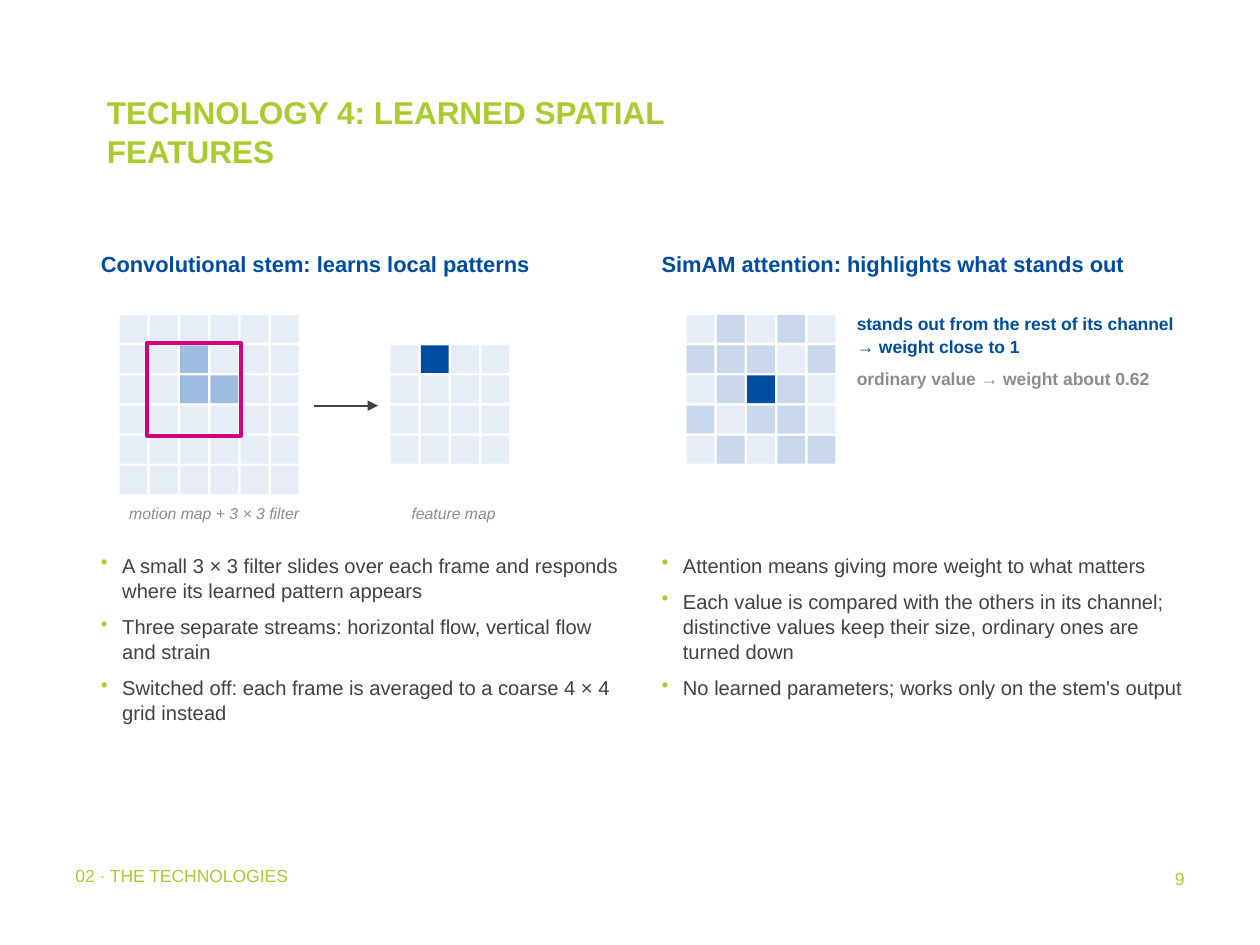
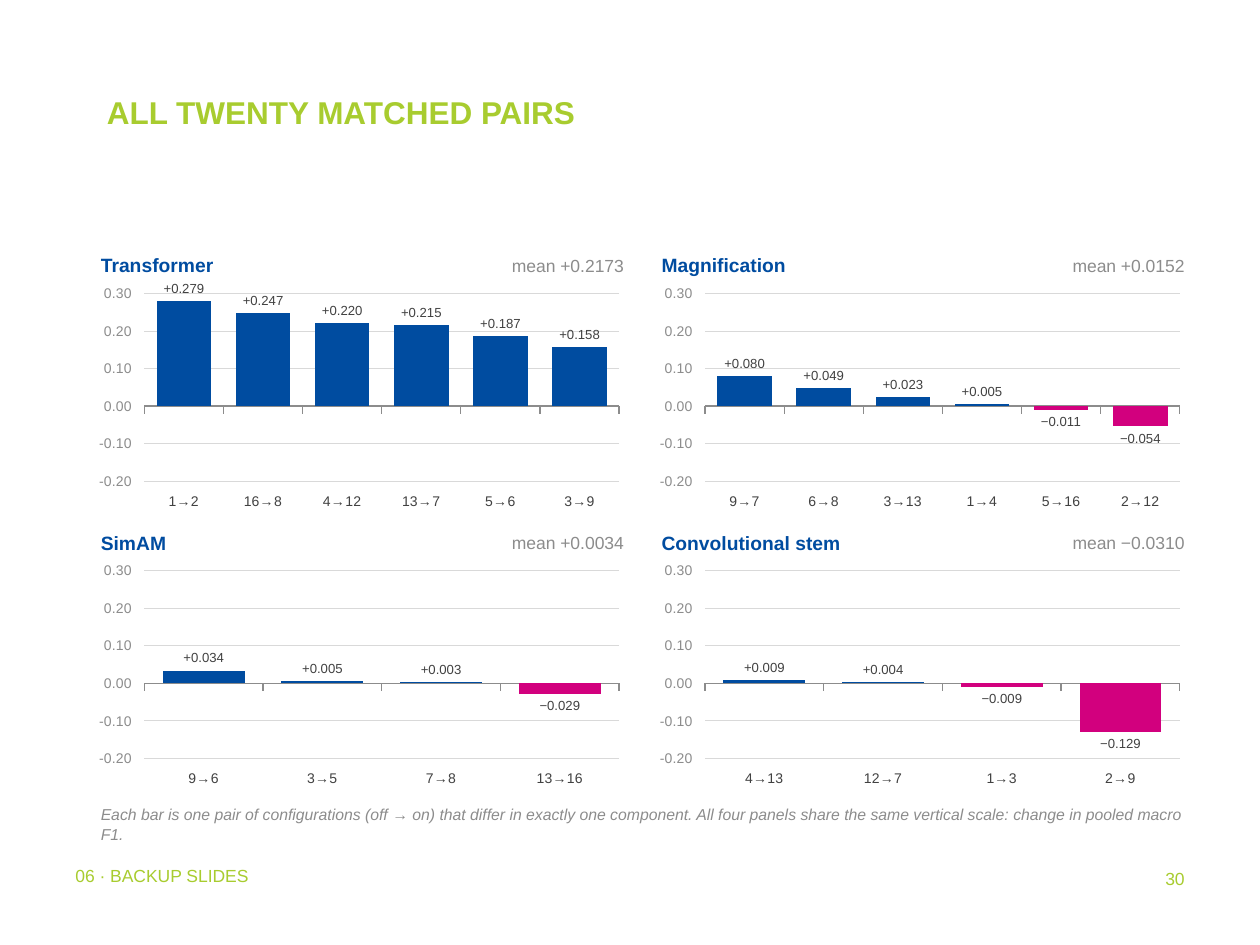
import dataclasses

import lxml.etree
import pptx
import pptx.chart.data
import pptx.dml.color
import pptx.enum.chart
import pptx.enum.shapes
import pptx.enum.text
import pptx.oxml.ns
import pptx.util

EMU_PER_PX = 9144
BLANK_LAYOUT = 6
CELL, CELL_STEP = 22, 24
COLUMN_LEFTS = (75, 520)
COLUMN_WIDTH = 425
PANEL_TOPS = (195, 415)

qn = pptx.oxml.ns.qn
LEFT, CENTER, RIGHT = (
    pptx.enum.text.PP_ALIGN.LEFT,
    pptx.enum.text.PP_ALIGN.CENTER,
    pptx.enum.text.PP_ALIGN.RIGHT,
)


@dataclasses.dataclass(frozen=True)
class Theme:
    font: str = "Arial"
    lime: str = "A8CC2F"
    blue: str = "004CA0"
    magenta: str = "D2007E"
    ink: str = "414141"
    gray: str = "8C8C8C"
    gridline: str = "D9D9D9"
    pale: str = "E6EDF6"
    light: str = "C9D7EC"
    medium: str = "9DBBE0"
    title: float = 18
    heading: float = 12.5
    body: float = 11.5
    panel: float = 11
    small: float = 10
    caption: float = 9
    axis: float = 8
    label: float = 7.5
    leading: float = 1.05


THEME = Theme()
CELL_FILLS = {
    ".": THEME.pale,
    "o": THEME.light,
    "x": THEME.medium,
    "#": THEME.blue,
}


def px(length):
    return pptx.util.Emu(length * EMU_PER_PX)


def rgb(color):
    return pptx.dml.color.RGBColor.from_string(color)


class Deck:
    def __init__(self, theme):
        self.theme = theme
        self.presentation = pptx.Presentation()
        self.presentation.slide_width = px(1000)
        self.presentation.slide_height = px(750)
        self.slide = None

    def new_slide(self, title, section, number):
        layout = self.presentation.slide_layouts[BLANK_LAYOUT]
        self.slide = self.presentation.slides.add_slide(layout)
        theme = self.theme
        self.text((75, 67, 542, 125), title, size=theme.title, color=theme.lime,
                  bold=True, inset=(10, 5), after=0)
        self.text((50, 683, 567, 40), section, size=theme.small, color=theme.lime,
                  inset=(10, 3), after=0)
        self.text((742, 683, 208, 50), number, size=theme.small, color=theme.lime,
                  inset=(10, 5), after=0, align=RIGHT)

    def style_font(self, font, size, color, bold=False, italic=False):
        font.name = self.theme.font
        font.size = pptx.util.Pt(size)
        font.bold = bold
        font.italic = italic
        font.color.rgb = rgb(color)

    def text(self, box, *lines, size, color, bold=False, italic=False, align=LEFT,
             inset=(5, 3), after=3, middle=False, bullet=False):
        frame = self.slide.shapes.add_textbox(*map(px, box)).text_frame
        frame.word_wrap = True
        frame.margin_left = frame.margin_right = px(inset[0])
        frame.margin_top = frame.margin_bottom = px(inset[1])
        if middle:
            frame.vertical_anchor = pptx.enum.text.MSO_ANCHOR.MIDDLE
        for index, line in enumerate(lines):
            content, line_color = line if isinstance(line, tuple) else (line, color)
            paragraph = frame.add_paragraph() if index else frame.paragraphs[0]
            if bullet:
                self.bullet(paragraph)
            paragraph.alignment = align
            paragraph.line_spacing = self.theme.leading
            paragraph.space_after = pptx.util.Pt(after)
            run = paragraph.add_run()
            run.text = content
            self.style_font(run.font, size, line_color, bold, italic)

    def bullet(self, paragraph):
        properties = paragraph._p.get_or_add_pPr()
        properties.set("marL", str(px(17)))
        properties.set("indent", str(px(-17)))
        bullet_color = lxml.etree.SubElement(properties, qn("a:buClr"))
        lxml.etree.SubElement(bullet_color, qn("a:srgbClr"), val=self.theme.lime)
        lxml.etree.SubElement(properties, qn("a:buChar"), char="•")

    def rectangle(self, box, fill=None, outline=None, weight=0):
        rectangle = self.slide.shapes.add_shape(
            pptx.enum.shapes.MSO_SHAPE.RECTANGLE, *map(px, box))
        rectangle.shadow.inherit = False
        if fill:
            rectangle.fill.solid()
            rectangle.fill.fore_color.rgb = rgb(fill)
        else:
            rectangle.fill.background()
        if outline:
            rectangle.line.color.rgb = rgb(outline)
            rectangle.line.width = pptx.util.Pt(weight)
        else:
            rectangle.line.fill.background()

    def cell_map(self, left, top, rows):
        for row, marks in enumerate(rows):
            for column, mark in enumerate(marks):
                self.rectangle((left + column * CELL_STEP, top + row * CELL_STEP,
                                CELL, CELL), fill=CELL_FILLS[mark])

    def arrow(self, *ends):
        arrow = self.slide.shapes.add_connector(
            pptx.enum.shapes.MSO_CONNECTOR.STRAIGHT, *map(px, ends))
        arrow.line.color.rgb = rgb(self.theme.ink)
        arrow.line.width = pptx.util.Pt(1.25)
        properties = arrow._element.spPr
        lxml.etree.SubElement(properties.find(qn("a:ln")), qn("a:tailEnd"),
                              type="triangle")
        lxml.etree.SubElement(properties, qn("a:effectLst"))

    def column_chart(self, box, differences):
        theme = self.theme
        data = pptx.chart.data.CategoryChartData()
        data.categories = list(differences)
        data.add_series("Series 1", list(differences.values()))
        chart = self.slide.shapes.add_chart(
            pptx.enum.chart.XL_CHART_TYPE.COLUMN_CLUSTERED, *map(px, box), data).chart
        chart.has_title = False
        chart.has_legend = False
        self.style_font(chart.font, theme.axis, theme.ink)

        pairs = chart.category_axis
        pairs.tick_label_position = pptx.enum.chart.XL_TICK_LABEL_POSITION.LOW
        pairs.format.line.color.rgb = rgb(theme.gray)
        pairs.format.line.width = pptx.util.Pt(0.75)
        self.style_font(pairs.tick_labels.font, theme.axis, theme.ink)

        change = chart.value_axis
        change.minimum_scale, change.maximum_scale = -0.2, 0.3
        change.major_unit = 0.1
        change.format.line.fill.background()
        change.major_gridlines.format.line.color.rgb = rgb(theme.gridline)
        change.major_gridlines.format.line.width = pptx.util.Pt(0.5)
        change.tick_labels.number_format = "0.00"
        change.tick_labels.number_format_is_linked = False
        self.style_font(change.tick_labels.font, theme.axis, theme.gray)

        plot = chart.plots[0]
        plot.gap_width = 45
        plot.vary_by_categories = False
        series = plot.series[0]
        series.invert_if_negative = False
        series.format.fill.solid()
        series.format.fill.fore_color.rgb = rgb(theme.blue)
        for index, value in enumerate(differences.values()):
            fill = series.points[index].format.fill
            fill.solid()
            fill.fore_color.rgb = rgb(theme.blue if value >= 0 else theme.magenta)
        labels = series.data_labels
        labels.show_value = True
        labels.position = pptx.enum.chart.XL_LABEL_POSITION.OUTSIDE_END
        labels.number_format = "+0.000;−0.000"
        labels.number_format_is_linked = False
        self.style_font(labels.font, theme.label, theme.ink)

    def save(self):
        self.presentation.save("out.pptx")


def spatial_features(deck):
    theme = deck.theme
    deck.new_slide("TECHNOLOGY 4: LEARNED SPATIAL FEATURES", "02 · THE TECHNOLOGIES", "9")
    columns = (
        ("Convolutional stem: learns local patterns", (
            "A small 3 × 3 filter slides over each frame and responds where its "
            "learned pattern appears",
            "Three separate streams: horizontal flow, vertical flow and strain",
            "Switched off: each frame is averaged to a coarse 4 × 4 grid instead")),
        ("SimAM attention: highlights what stands out", (
            "Attention means giving more weight to what matters",
            "Each value is compared with the others in its channel; distinctive "
            "values keep their size, ordinary ones are turned down",
            "No learned parameters; works only on the stem's output")),
    )
    for left, (heading, points) in zip(COLUMN_LEFTS, columns):
        deck.text((left, 195, COLUMN_WIDTH, 35), heading, size=theme.heading,
                  color=theme.blue, bold=True)
        deck.text((left, 435, COLUMN_WIDTH, 215), *points, size=theme.body,
                  color=theme.ink, after=6, bullet=True)

    deck.cell_map(95, 250, ("......", "..x...", "..xx..", "......", "......", "......"))
    deck.rectangle((117, 272, 74, 74), outline=theme.magenta, weight=2.25)
    deck.arrow(249, 322, 300, 322)
    deck.cell_map(310, 274, (".#..", "....", "....", "...."))
    for left, width, caption in ((85, 170, "motion map + 3 × 3 filter"),
                                 (295, 130, "feature map")):
        deck.text((left, 396, width, 30), caption, size=theme.caption,
                  color=theme.gray, italic=True, align=CENTER)

    deck.cell_map(545, 250, (".o.o.", "ooo.o", ".o#o.", "o.oo.", ".o.oo"))
    deck.text((675, 245, 270, 130),
              "stands out from the rest of its channel → weight close to 1",
              ("ordinary value → weight about 0.62", theme.gray),
              size=theme.small, color=theme.blue, bold=True, after=6)


def matched_pairs(deck):
    theme = deck.theme
    deck.new_slide("ALL TWENTY MATCHED PAIRS", "06 · BACKUP SLIDES", "30")
    panels = (
        ("Transformer", "mean +0.2173",
         {"1→2": 0.279, "16→8": 0.247, "4→12": 0.22,
          "13→7": 0.215, "5→6": 0.187, "3→9": 0.158}),
        ("Magnification", "mean +0.0152",
         {"9→7": 0.08, "6→8": 0.049, "3→13": 0.023,
          "1→4": 0.005, "5→16": -0.011, "2→12": -0.054}),
        ("SimAM", "mean +0.0034",
         {"9→6": 0.034, "3→5": 0.005, "7→8": 0.003, "13→16": -0.029}),
        ("Convolutional stem", "mean −0.0310",
         {"4→13": 0.009, "12→7": 0.004, "1→3": -0.009, "2→9": -0.129}),
    )
    for index, (component, mean, differences) in enumerate(panels):
        left, top = COLUMN_LEFTS[index % 2], PANEL_TOPS[index // 2]
        deck.text((left, top, COLUMN_WIDTH, 30), component, size=theme.panel,
                  color=theme.blue, bold=True, middle=True)
        deck.text((left + 220, top, 205, 30), mean, size=theme.small,
                  color=theme.gray, align=RIGHT, middle=True)
        deck.column_chart((left - 5, top + 28, 430, 185), differences)
    deck.text((75, 635, 870, 40),
              "Each bar is one pair of configurations (off → on) that differ in exactly "
              "one component. All four panels share the same vertical scale: change in "
              "pooled macro F1.",
              size=theme.caption, color=theme.gray, italic=True)


def main():
    deck = Deck(THEME)
    spatial_features(deck)
    matched_pairs(deck)
    deck.save()


if __name__ == "__main__":
    main()
